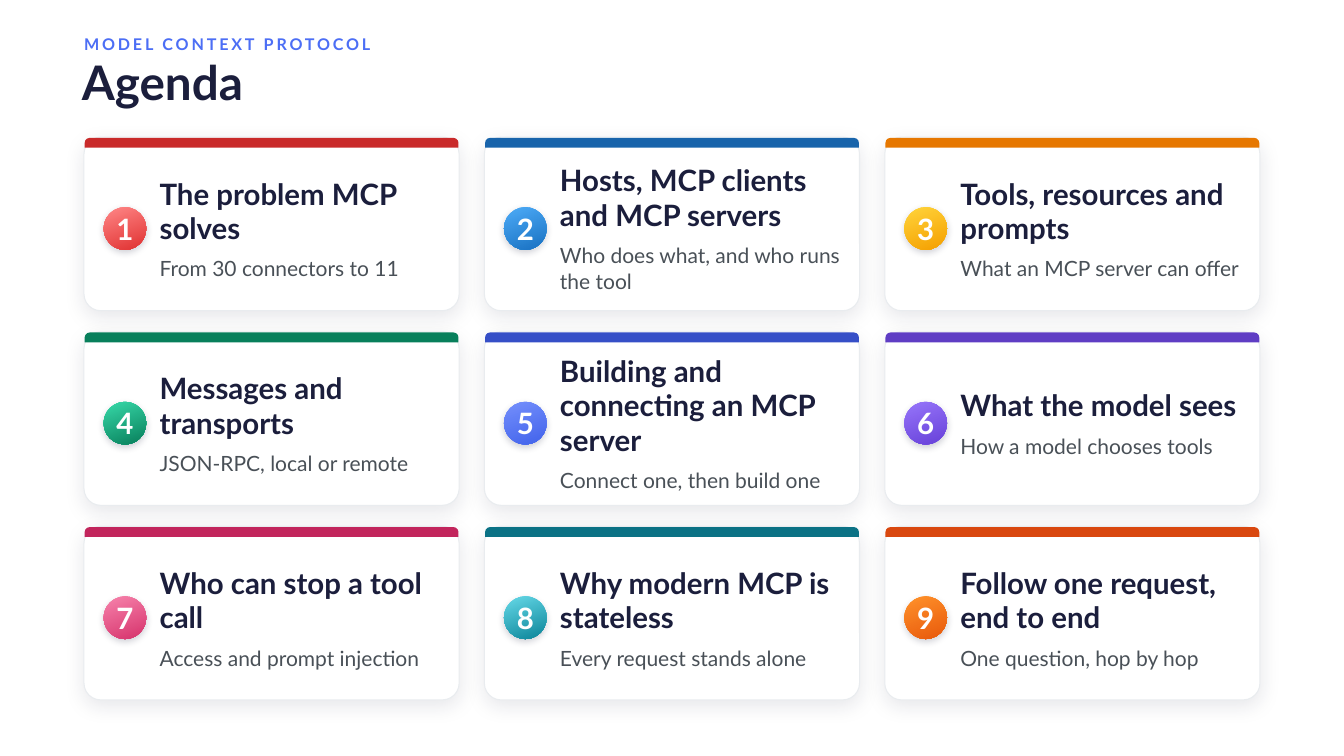
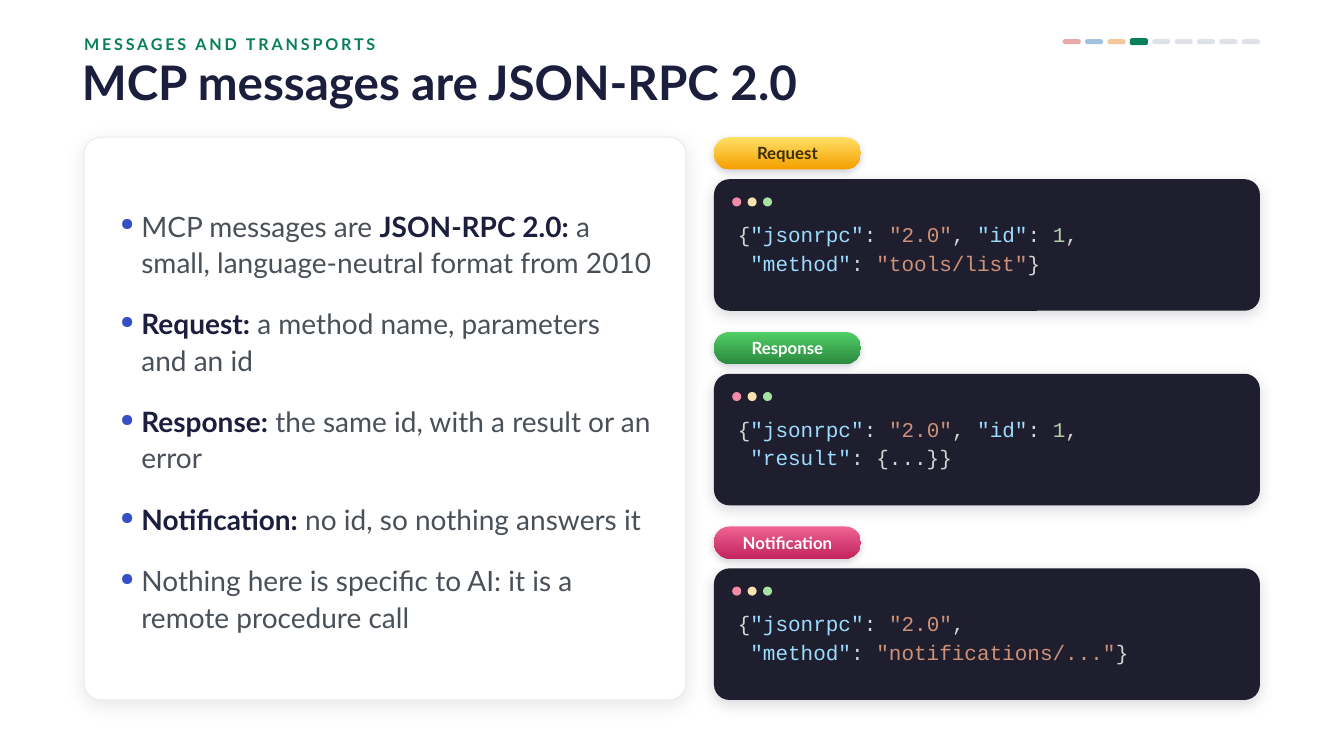
import pptx
import pptx.dml.color
import pptx.enum.shapes
import pptx.enum.text
import pptx.oxml.ns
import pptx.oxml.xmlchemy
import pptx.util
from collections import namedtuple

Pt = pptx.util.Pt
qn = pptx.oxml.ns.qn
SHAPE = pptx.enum.shapes.MSO_SHAPE
ALIGN = pptx.enum.text.PP_ALIGN
ANCHOR = pptx.enum.text.MSO_ANCHOR

Topic = namedtuple("Topic", "title detail band light dark")
Run = namedtuple("Run", "text colour bold", defaults=(False,))
Shadow = namedtuple("Shadow", "alpha blur distance")

SANS, MONO = "Lato", "Courier New"
INK, BODY, WHITE, BORDER = "1B1E3C", "495057", "FFFFFF", "E9ECEF"
BRAND, BULLET, PENDING, TERMINAL = "4C6EF5", "364FC7", "DEE2E6", "1E1E2E"
PLAIN, KEY, STRING, NUMBER = "D4D4D4", "9CDCFE", "CE9178", "B5CEA8"
WINDOW_DOTS = ("F38BA8", "F9E2AF", "A6E3A1")
CARD_SHADOW, BADGE_SHADOW, CODE_SHADOW = Shadow(10, 14, 4), Shadow(20, 5, 2), Shadow(16, 10, 3)

LEFT, TOP, WIDTH, HEIGHT = 60, 98, 840, 402
COLUMN_GAP, ROW_GAP = 18, 15
CARD_WIDTH = (WIDTH - 2 * COLUMN_GAP) / 3
CARD_HEIGHT = (HEIGHT - 2 * ROW_GAP) / 3
ROW_PITCH = CARD_HEIGHT + ROW_GAP

TOPICS = [
    Topic("The problem MCP solves", "From 30 connectors to 11", "C92A2A", "FF8787", "E03131"),
    Topic("Hosts, MCP clients and MCP servers", "Who does what, and who runs the tool",
          "1864AB", "4DABF7", "1971C2"),
    Topic("Tools, resources and prompts", "What an MCP server can offer", "E67700", "FFD43B", "F59F00"),
    Topic("Messages and transports", "JSON-RPC, local or remote", "087F5B", "38D9A9", "087F5B"),
    Topic("Building and connecting an MCP server", "Connect one, then build one",
          "364FC7", "748FFC", "4263EB"),
    Topic("What the model sees", "How a model chooses tools", "5F3DC4", "9775FA", "6741D9"),
    Topic("Who can stop a tool call", "Access and prompt injection", "C2255C", "F783AC", "D6336C"),
    Topic("Why modern MCP is stateless", "Every request stands alone", "0B7285", "66D9E8", "0C8599"),
    Topic("Follow one request, end to end", "One question, hop by hop", "D9480F", "FF922B", "E8590C"),
]

POINTS = [
    [Run("MCP messages are ", BODY), Run("JSON-RPC 2.0:", INK, True),
     Run(" a small, language-neutral format from 2010", BODY)],
    [Run("Request:", INK, True), Run(" a method name, parameters and an id", BODY)],
    [Run("Response:", INK, True), Run(" the same id, with a result or an error", BODY)],
    [Run("Notification:", INK, True), Run(" no id, so nothing answers it", BODY)],
    [Run("Nothing here is specific to AI: it is a remote procedure call", BODY)],
]


def rgb(value):
    """Turn a hex string into a colour."""
    return pptx.dml.color.RGBColor.from_string(value)


def add_child(parent, tag, **attributes):
    """Append a DrawingML element and return it."""
    child = pptx.oxml.xmlchemy.OxmlElement(tag)
    for name, value in attributes.items():
        child.set(name, str(value))
    parent.append(child)
    return child


def add_shadow(shape, shadow):
    """Cast a soft shadow straight down from a shape."""
    effects = shape.element.spPr.find(qn("a:effectLst"))
    outer = add_child(effects, "a:outerShdw", blurRad=Pt(shadow.blur), dist=Pt(shadow.distance),
                      dir=90 * 60000, algn="ctr", rotWithShape=0)
    add_child(add_child(outer, "a:srgbClr", val=INK), "a:alpha", val=shadow.alpha * 1000)


def draw(slide, kind, box, fill, corners=(), border=None, shadow=None, angle=90, alpha=None):
    """Draw a preset shape filled with one colour or a pair of gradient colours."""
    shape = slide.shapes.add_shape(kind, *map(Pt, box))
    shape.shadow.inherit = False
    for index, corner in enumerate(corners):
        shape.adjustments[index] = corner
    if isinstance(fill, str):
        shape.fill.solid()
        shape.fill.fore_color.rgb = rgb(fill)
    else:
        shape.fill.gradient()
        shape.fill.gradient_angle = 360 - angle
        for stop, colour, position in zip(shape.fill.gradient_stops, fill, (0, 1)):
            stop.color.rgb = rgb(colour)
            stop.position = position
    if alpha:
        colour = shape.element.spPr.find(qn("a:solidFill") + "/" + qn("a:srgbClr"))
        add_child(colour, "a:alpha", val=alpha * 1000)
    if border:
        shape.line.color.rgb = rgb(border)
        shape.line.width = Pt(0.75)
    else:
        shape.line.fill.background()
    if shadow:
        add_shadow(shape, shadow)
    return shape


def rounded(slide, box, radius, fill, **style):
    """Draw a rectangle with corners of a given radius."""
    return draw(slide, SHAPE.ROUNDED_RECTANGLE, box, fill, [radius / min(box[2:])], **style)


def prepare(frame, anchor=ANCHOR.MIDDLE):
    """Clear the margins of a text frame and return its first paragraph."""
    frame.margin_left = frame.margin_top = frame.margin_right = frame.margin_bottom = 0
    frame.word_wrap = True
    frame.vertical_anchor = anchor
    return frame.paragraphs[0]


def text_box(slide, box, anchor=ANCHOR.MIDDLE):
    """Add an empty text box and return its frame."""
    frame = slide.shapes.add_textbox(*map(Pt, box)).text_frame
    prepare(frame, anchor)
    return frame


def write(paragraph, runs, size, font=SANS, leading=None, before=None, tracking=None):
    """Write runs into a paragraph."""
    if leading:
        paragraph.line_spacing = leading
    if before:
        paragraph.space_before = Pt(before)
    for part in runs:
        run = paragraph.add_run()
        run.text = part.text
        run.font.name = font
        run.font.size = Pt(size)
        run.font.bold = part.bold
        run.font.color.rgb = rgb(part.colour)
        if tracking:
            run.font._element.set("spc", str(tracking * 100))


def label(shape, text, size, colour):
    """Centre a bold label inside a shape."""
    paragraph = prepare(shape.text_frame)
    paragraph.alignment = ALIGN.CENTER
    write(paragraph, [Run(text, colour, True)], size)


def header(slide, section, title, colour):
    """Write the title and the section name above it."""
    title_frame = text_box(slide, (58.5, 39, 841.5, 43))
    write(title_frame.paragraphs[0], [Run(title, INK, True)], 34, leading=0.9)
    section_frame = text_box(slide, (LEFT, 23, 650, 17))
    write(section_frame.paragraphs[0], [Run(section.upper(), colour, True)], 11.5, tracking=2)


def progress(slide, current):
    """Draw one dash per topic and stress the current one."""
    pitch, dash, middle = 16, 13, 29.75
    start = LEFT + WIDTH - dash - pitch * (len(TOPICS) - 1)
    for index, topic in enumerate(TOPICS):
        height = 5 if index == current else 3.5
        box = (start + index * pitch, middle - height / 2, dash, height)
        colour = topic.band if index <= current else PENDING
        rounded(slide, box, 1.75, colour, alpha=40 if index < current else None)


def panel(slide, box):
    """Draw a white card with a soft shadow."""
    rounded(slide, box, 12, WHITE, border=BORDER, shadow=CARD_SHADOW)


def agenda_card(slide, index, topic):
    """Place one numbered topic in the three-column grid."""
    row, column = divmod(index, 3)
    x = LEFT + column * (CARD_WIDTH + COLUMN_GAP)
    y = TOP + row * ROW_PITCH
    panel(slide, (x, y, CARD_WIDTH, CARD_HEIGHT))
    draw(slide, SHAPE.ROUND_2_SAME_RECTANGLE, (x + 0.5, y + 0.5, CARD_WIDTH - 1, 7), topic.band, (0.5, 0))
    badge = draw(slide, SHAPE.OVAL, (x + 14, y + 50, 30.5, 30.5), (topic.light, topic.dark),
                 shadow=BADGE_SHADOW, angle=70)
    label(badge, str(index + 1), 21, WHITE)
    frame = text_box(slide, (x + 54, y + 12, 203, 107.5))
    write(frame.paragraphs[0], [Run(topic.title, INK, True)], 21, leading=0.98)
    write(frame.add_paragraph(), [Run(topic.detail, BODY)], 15, leading=1.04, before=6)


def bullet_list(slide, box, points):
    """Write bulleted points with hanging indents."""
    frame = text_box(slide, box)
    for index, runs in enumerate(points):
        paragraph = frame.add_paragraph() if index else frame.paragraphs[0]
        properties = paragraph._p.get_or_add_pPr()
        properties.set("marL", str(Pt(15)))
        properties.set("indent", str(-Pt(15)))
        add_child(add_child(properties, "a:buClr"), "a:srgbClr", val=BULLET)
        add_child(properties, "a:buSzPct", val=62000)
        add_child(properties, "a:buChar", char="●")
        write(paragraph, runs, 20, leading=1.08, before=18 if index else None)


def field(key, value, colour):
    """Colour one JSON key and its value."""
    return [Run(f'"{key}"', KEY), Run(": ", PLAIN), Run(value, colour)]


def code_sample(slide, row, name, name_colour, gradient, lines):
    """Draw a named code window in one row of the right column."""
    x, y = 510, TOP + row * ROW_PITCH
    pill = rounded(slide, (x, y, 105, 23), 11.5, gradient, shadow=BADGE_SHADOW)
    label(pill, name, 12, name_colour)
    window_top = y + 30
    rounded(slide, (x, window_top, 390, 94), 11, TERMINAL, shadow=CODE_SHADOW)
    for index, colour in enumerate(WINDOW_DOTS):
        draw(slide, SHAPE.OVAL, (x + 13 + index * 11, window_top + 13, 6.5, 6.5), colour)
    frame = text_box(slide, (x + 17, window_top + 28, 361, 54), ANCHOR.TOP)
    for index, runs in enumerate(lines):
        paragraph = frame.add_paragraph() if index else frame.paragraphs[0]
        write(paragraph, runs, 15, MONO, leading=Pt(20.4))


def agenda_slide(slide):
    """Build the agenda."""
    header(slide, "Model Context Protocol", "Agenda", BRAND)
    for index, topic in enumerate(TOPICS):
        agenda_card(slide, index, topic)


def messages_slide(slide):
    """Build the slide on message kinds."""
    current = 3
    header(slide, TOPICS[current].title, "MCP messages are JSON-RPC 2.0", TOPICS[current].band)
    progress(slide, current)
    panel(slide, (LEFT, TOP, 430, HEIGHT))
    bullet_list(slide, (86, 118, 380, 364), POINTS)

    comma, space, close = Run(",", PLAIN), Run(" ", PLAIN), Run("}", PLAIN)
    version = [Run("{", PLAIN), *field("jsonrpc", '"2.0"', STRING)]
    with_id = [*version, Run(", ", PLAIN), *field("id", "1", NUMBER), comma]
    samples = [
        ("Request", "3B2F00", ("FFE066", "F59F00"),
         [with_id, [space, *field("method", '"tools/list"', STRING), close]]),
        ("Response", WHITE, ("51CF66", "2B8A3E"),
         [with_id, [space, *field("result", "{...}}", PLAIN)]]),
        ("Notification", WHITE, ("F06595", "C2255C"),
         [[*version, comma], [space, *field("method", '"notifications/..."', STRING), close]]),
    ]
    for row, sample in enumerate(samples):
        code_sample(slide, row, *sample)


def main():
    """Build and save the presentation."""
    deck = pptx.Presentation()
    deck.slide_width, deck.slide_height = Pt(960), Pt(540)
    blank = deck.slide_layouts[6]
    for build in (agenda_slide, messages_slide):
        build(deck.slides.add_slide(blank))
    deck.save("out.pptx")


if __name__ == "__main__":
    main()
